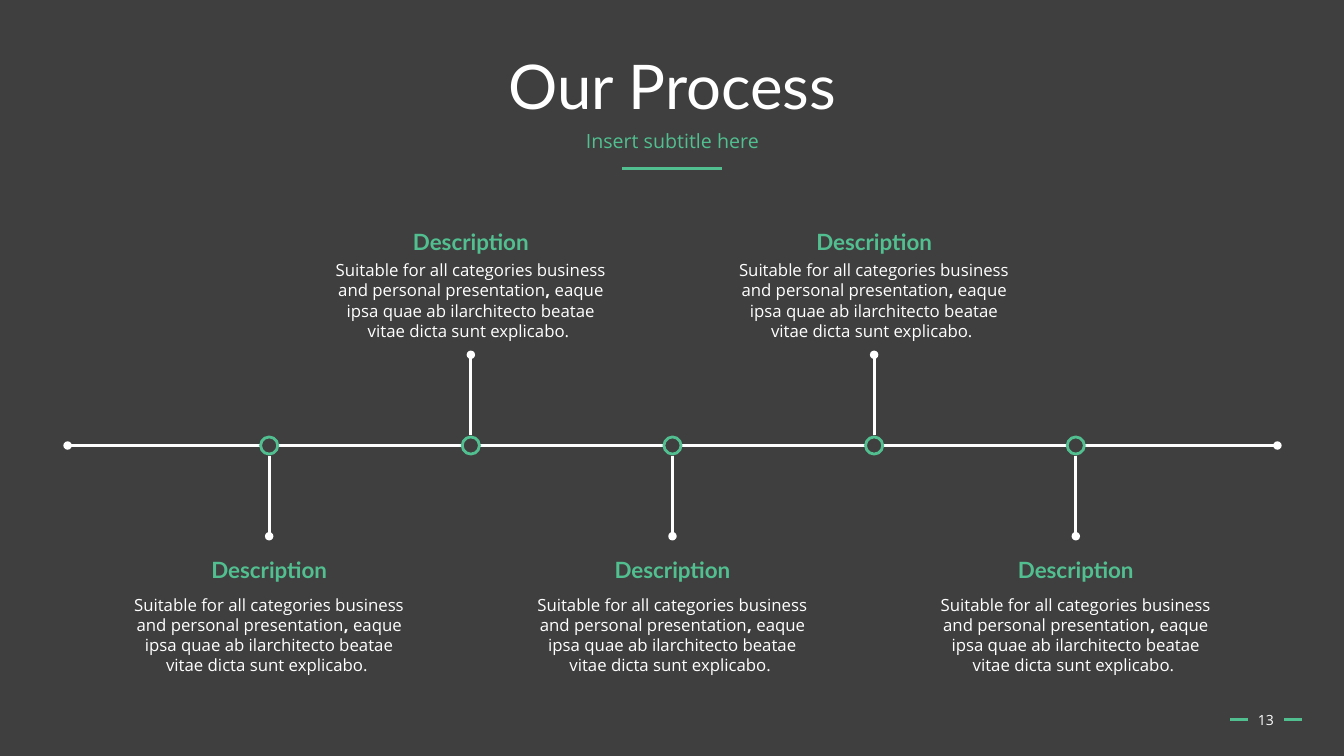
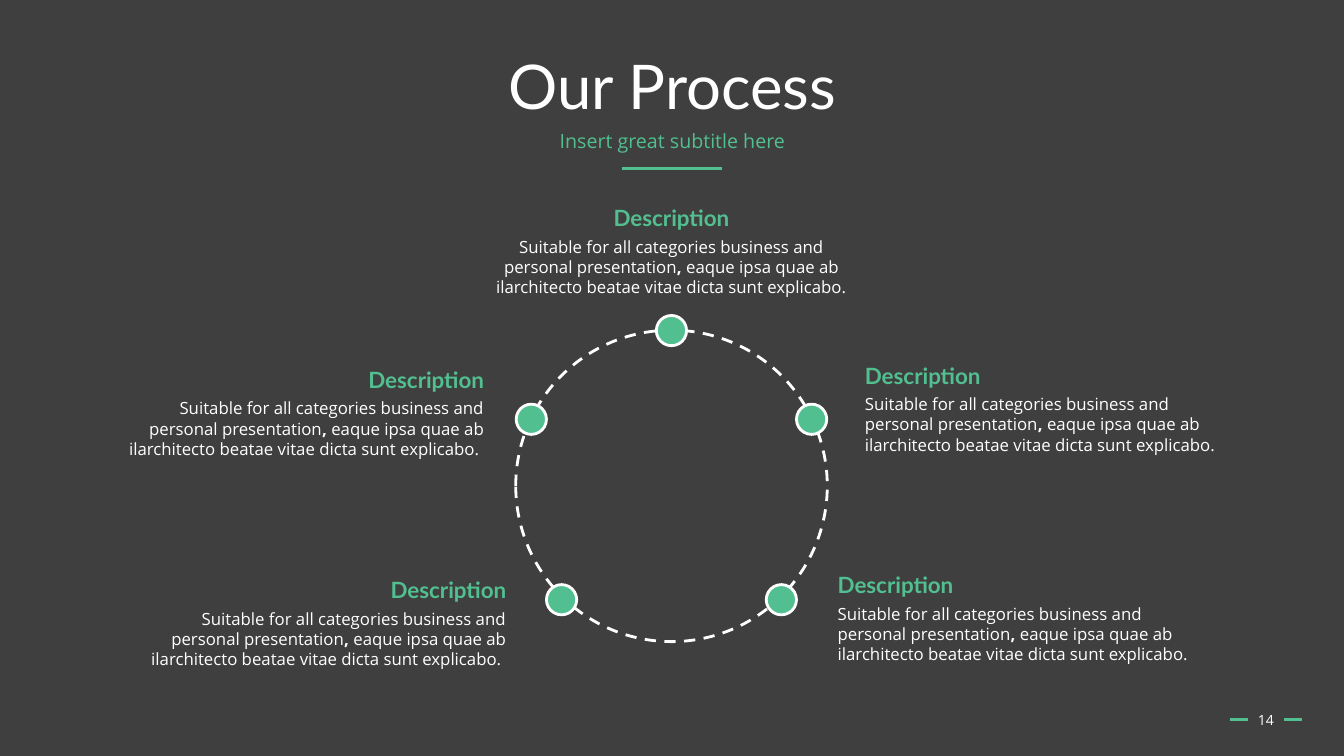
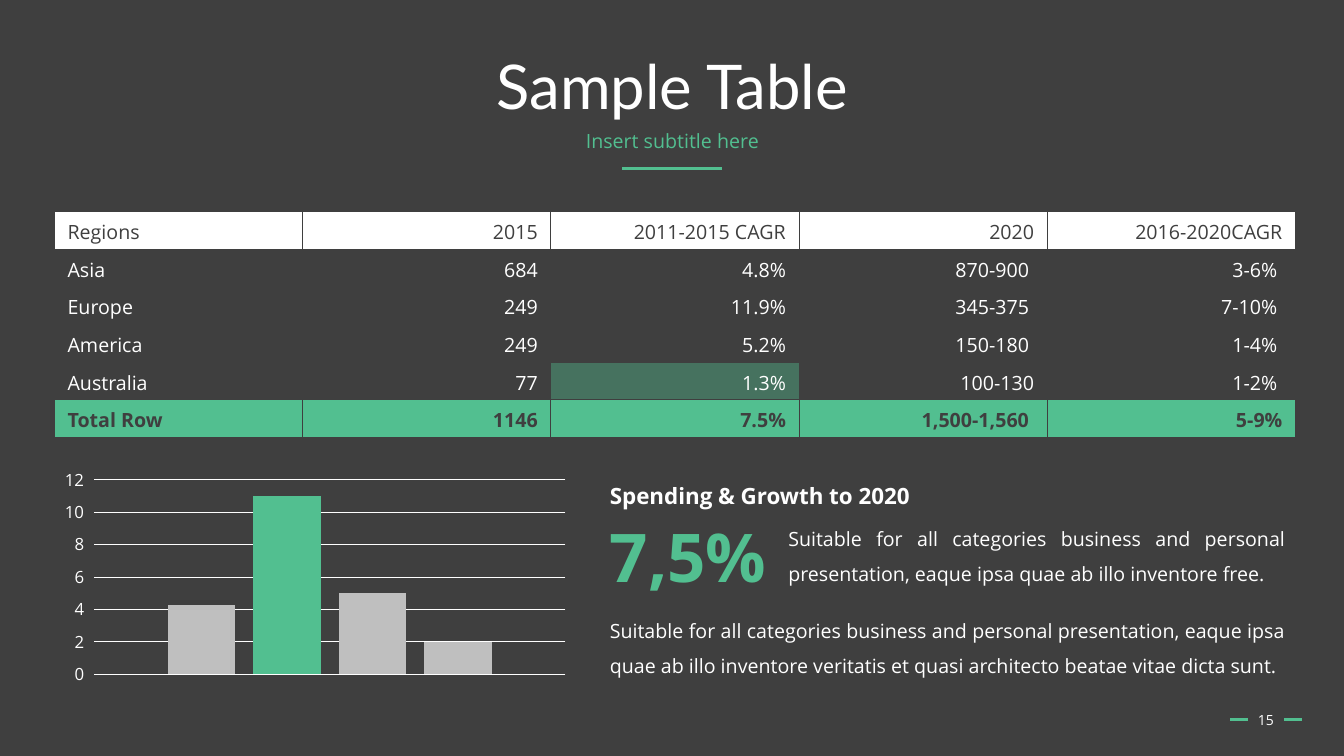
from dataclasses import dataclass

from lxml import etree
from pptx import Presentation, util as u
from pptx.chart.data import CategoryChartData
from pptx.dml.color import RGBColor
from pptx.enum import chart, dml, shapes, text
from pptx.oxml.ns import qn

Inches, Pt = u.Inches, u.Pt
AL = text.PP_ALIGN
MID = text.MSO_ANCHOR.MIDDLE
FIT = text.MSO_AUTO_SIZE.SHAPE_TO_FIT_TEXT
OVAL = shapes.MSO_SHAPE.OVAL


@dataclass(frozen=True)
class Theme:
    dark: str = "3F3F3F"
    green: str = "52BF90"
    white: str = "FFFFFF"
    gray: str = "BFBFBF"
    head: str = "Lato"
    body: str = "Open Sans"
    title: int = 44
    large: int = 48
    label: int = 16
    main: int = 14
    small: int = 12
    tiny: int = 10
    rule: float = 1.75
    line: float = 2


def rgb(tint):
    return RGBColor.from_string(tint)


def put(item, **vals):
    for key, val in vals.items():
        setattr(item, key, val)


class Deck:
    """Builds dark slides in one style, one element at a time."""

    def __init__(self, theme):
        self.theme = theme
        self.prs = Presentation()
        put(self.prs, slide_width=Inches(13.33), slide_height=Inches(7.5))
        fill = self.prs.slide_master.background.fill
        fill.solid()
        fill.fore_color.rgb = rgb(theme.dark)

    def font(self, font, size, tint=None, bold=False, face=None):
        put(font, size=Pt(size), bold=bold, name=face or self.theme.body)
        font.color.rgb = rgb(tint or self.theme.white)

    def page(self, title, sub, num):
        t = self.theme
        self.slide = self.prs.slides.add_slide(self.prs.slide_layouts[5])
        self.shapes = self.slide.shapes
        head = self.shapes.title
        put(head, left=Inches(0.92), top=Inches(0.4), width=Inches(11.5), height=Inches(0.98))
        put(head.text_frame, vertical_anchor=MID, word_wrap=True,
            auto_size=text.MSO_AUTO_SIZE.NONE)
        self.say(head.text_frame, title, t.title, face=t.head,
                 alignment=AL.CENTER, line_spacing=0.9)
        self.text(sub, 0.92, 1.26, 11.5, 0.4, t.main, tint=t.green, fit=False,
                  alignment=AL.CENTER, line_spacing=0.9, space_before=Pt(10))
        for x, y, end in (6.17, 1.67, 7.16), (12.2, 7.14, 12.38), (12.74, 7.14, 12.91):
            self.line(x, y, end, y, t.green, t.rule)
        box = self.text(str(num), 12.26, 6.94, 0.59, 0.4, t.tiny, fit=False,
                        alignment=AL.CENTER)
        box.text_frame.vertical_anchor = MID

    def say(self, frame, words, size, tint=None, bold=False, face=None, **form):
        para = frame.paragraphs[0]
        put(para, **form)
        parts = [(words, bold)] if isinstance(words, str) else words
        for part, heavy in parts:
            run = para.add_run()
            run.text = part
            self.font(run.font, size, tint, heavy, face)

    def text(self, words, x, y, w, h, size, fit=True, wrap=True, **form):
        box = self.shapes.add_textbox(Inches(x), Inches(y), Inches(w), Inches(h))
        box.text_frame.word_wrap = wrap
        if fit:
            box.text_frame.auto_size = FIT
        self.say(box.text_frame, words, size, **form)
        return box

    def line(self, x, y, end, low, tint, width, *tips):
        rod = self.shapes.add_connector(
            shapes.MSO_CONNECTOR.STRAIGHT, Inches(x), Inches(y), Inches(end), Inches(low))
        rod.line.color.rgb = rgb(tint)
        rod.line.width = Pt(width)
        ln = rod.line._get_or_add_ln()
        for tip in tips:
            etree.SubElement(ln, qn(f"a:{tip}"), type="oval")
        etree.SubElement(rod._element.spPr, qn("a:effectLst"))

    def disc(self, x, y, size, edge, fill=None, dash=None):
        disc = self.shapes.add_shape(
            OVAL, Inches(x - size / 2), Inches(y - size / 2), Inches(size), Inches(size))
        disc.shadow.inherit = False
        if fill:
            disc.fill.solid()
            disc.fill.fore_color.rgb = rgb(fill)
        else:
            disc.fill.background()
        disc.line.color.rgb = rgb(edge)
        put(disc.line, width=Pt(self.theme.line), dash_style=dash)

    def note(self, x, y, w, h, align, gap=0.32):
        t = self.theme
        part = {AL.LEFT: 0, AL.CENTER: 0.5, AL.RIGHT: 1}[align]
        end = "" if align == AL.LEFT else " "
        words = [
            ("Suitable for all categories business and personal presentation", False),
            (",", True),
            (" eaque ipsa quae ab ilarchitecto beatae vitae dicta sunt explicabo." + end, False)]
        self.text(words, x - w * part, y + gap, w, h, t.small, alignment=align)
        self.text("Description", x - 2.28 * part, y, 2.28, 0.37, t.label,
                  tint=t.green, bold=True, face=t.head, alignment=align)

    def cell(self, cell, words, align, tint, fill, bold, alpha=None):
        put(cell, margin_left=Inches(0.13), margin_right=Inches(0.13),
            margin_top=Inches(0.07), margin_bottom=Inches(0.07))
        self.say(cell.text_frame, words, self.theme.main, tint, bold, alignment=align)
        prop = cell._tc.get_or_add_tcPr()
        for side in "LRTB":
            ln = etree.SubElement(prop, qn(f"a:ln{side}"), w=str(Pt(1)))
            paint = etree.SubElement(ln, qn("a:solidFill"))
            etree.SubElement(paint, qn("a:srgbClr"), val=self.theme.dark)
        if not fill:
            cell.fill.background()
            return
        cell.fill.solid()
        cell.fill.fore_color.rgb = rgb(fill)
        if alpha:
            tone = prop.find(qn("a:solidFill")).find(qn("a:srgbClr"))
            etree.SubElement(tone, qn("a:alpha"), val=str(alpha * 1000))

    def table(self, rows, x, y, w, h, mark):
        t = self.theme
        grid = self.shapes.add_table(
            len(rows), len(rows[0]), Inches(x), Inches(y), Inches(w), Inches(h)).table
        put(grid, first_row=False, horz_banding=False)
        last = len(rows) - 1
        looks = {0: (t.dark, t.white, False), last: (t.dark, t.green, True)}
        for r, row in enumerate(rows):
            for c, words in enumerate(row):
                look = looks.get(r, (t.white, None, False))
                alpha = None
                if (r, c) == mark:
                    look, alpha = (t.white, t.green, False), 40
                self.cell(grid.cell(r, c), words, AL.RIGHT if c else AL.LEFT, *look, alpha)

    def chart(self, vals, x, y, w, h, peak):
        t = self.theme
        data = CategoryChartData()
        data.categories = ["1"]
        for i, val in enumerate(vals, 1):
            data.add_series(f"Series {i}", [val])
        plan = self.shapes.add_chart(
            chart.XL_CHART_TYPE.COLUMN_CLUSTERED,
            Inches(x), Inches(y), Inches(w), Inches(h), data).chart
        put(plan, has_title=False, has_legend=False)
        self.font(plan.font, t.tiny)
        plan.category_axis.visible = False
        axis = plan.value_axis
        put(axis, minimum_scale=0, maximum_scale=12, major_unit=2,
            major_tick_mark=chart.XL_TICK_MARK.OUTSIDE)
        self.font(axis.tick_labels.font, t.small)
        axis.format.line.fill.background()
        mesh = axis.major_gridlines.format.line
        mesh.color.rgb = rgb(t.white)
        mesh.width = Pt(0.75)
        plot = plan.plots[0]
        put(plot, gap_width=219, overlap=-27, vary_by_categories=False)
        for i, bar in enumerate(plot.series):
            bar.format.fill.solid()
            bar.format.fill.fore_color.rgb = rgb(t.green if i == peak else t.gray)


def draw_time(deck):
    t = deck.theme
    deck.page("Our Process", "Insert subtitle here", 13)
    mid, base = 6.67, 4.42
    deck.line(mid - 6, base, mid + 6, base, t.white, t.line, "headEnd", "tailEnd")
    for i in range(5):
        x = mid + 2 * (i - 2)
        way = -1 if i % 2 else 1
        deck.disc(x, base, 0.17, t.green, t.dark)
        deck.line(x, base + way * 0.1, x, base + way * 0.9, t.white, t.line, "tailEnd")
        top, gap = (2.21, 0.32) if i % 2 else (5.47, 0.38)
        deck.note(x, top, 2.92, 0.91, AL.CENTER, gap)


def draw_ring(deck):
    t = deck.theme
    deck.page("Our Process", "Insert great subtitle here", 14)
    x, y = 6.66, 4.82
    deck.disc(x, y, 3.09, t.white, dash=dml.MSO_LINE.DASH)
    for dx, dy in (0, -1.54), (-1.39, -0.66), (1.39, -0.66), (-1.09, 1.13), (1.09, 1.13):
        deck.disc(x + dx, y + dy, 0.3, t.white, t.green)
    for left, top, wide, align in (
            (x, 1.98, 3.68, AL.CENTER),
            (8.48, 3.54, 3.78, AL.LEFT),
            (8.21, 5.62, 3.78, AL.LEFT),
            (4.9, 3.58, 3.81, AL.RIGHT),
            (5.12, 5.67, 3.81, AL.RIGHT)):
        deck.note(left, top, wide, 0.71, align)


def draw_table(deck):
    t = deck.theme
    deck.page("Sample Table", "Insert subtitle here", 15)
    rows = [
        ("Regions", "2015", "2011-2015 CAGR", "2020", "2016-2020CAGR"),
        ("Asia", "684", "4.8%", "870-900 ", "3-6% "),
        ("Europe", "249", "11.9%", "345-375 ", "7-10% "),
        ("America", "249", "5.2%", "150-180 ", "1-4% "),
        ("Australia", "77", "1.3%", "100-130", "1-2% "),
        ("Total Row", "1146", "7.5%", "1,500-1,560 ", "5-9%")]
    deck.table(rows, 0.54, 2.1, 12.31, 2.2, mark=(4, 2))
    deck.chart((4.3, 11, 5, 2), 0.54, 4.6, 5.17, 2.25, peak=1)
    form = dict(alignment=AL.JUSTIFY, line_spacing=1.5)
    lead = "Suitable for all categories business and personal presentation, eaque ipsa quae ab illo inventore "
    deck.text(lead + "veritatis et quasi architecto beatae vitae dicta sunt.",
              5.95, 5.97, 6.9, 0.81, t.main, **form)
    deck.text("Spending & Growth to 2020", 5.95, 4.6, 5.72, 0.46, t.label, bold=True, **form)
    deck.text("7,5%", 5.95, 5.06, 1.77, 0.91, t.large, wrap=False, tint=t.green, bold=True)
    deck.text(lead + "free.", 7.72, 5.06, 5.13, 0.77, t.main, **form)


def main():
    deck = Deck(Theme())
    for draw in draw_time, draw_ring, draw_table:
        draw(deck)
    deck.prs.save("out.pptx")


if __name__ == "__main__":
    main()
